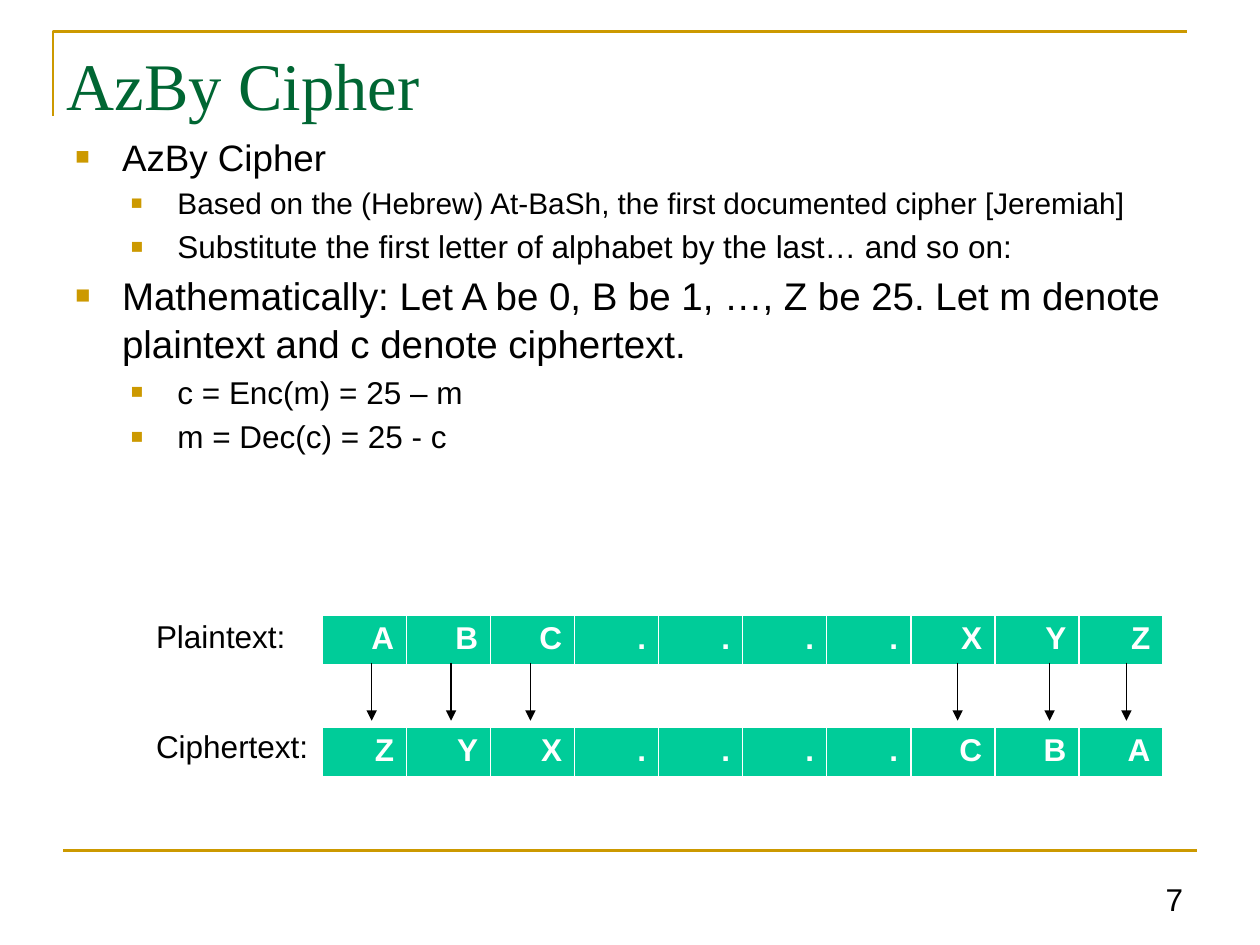
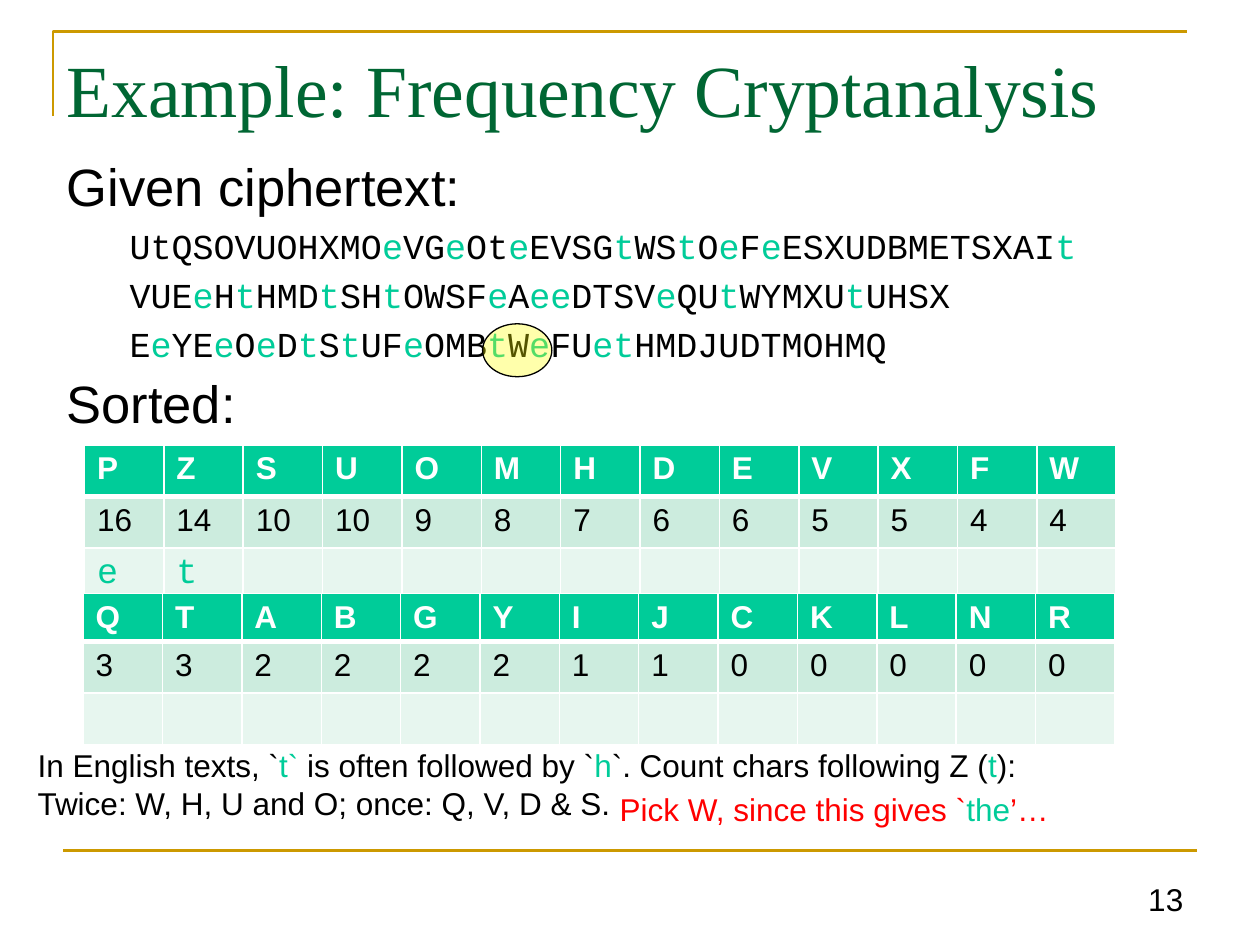
from dataclasses import dataclass, replace
from typing import NamedTuple, Optional, Sequence

from lxml import etree
from pptx import Presentation
from pptx.dml.color import RGBColor
from pptx.enum.shapes import MSO_CONNECTOR, MSO_SHAPE
from pptx.enum.text import MSO_ANCHOR, MSO_AUTO_SIZE, PP_ALIGN
from pptx.oxml.ns import qn
from pptx.util import Emu, Inches, Pt

STRAIGHT = MSO_CONNECTOR.STRAIGHT
OVAL = MSO_SHAPE.OVAL
TOP, BOTTOM = MSO_ANCHOR.TOP, MSO_ANCHOR.BOTTOM
LEFT, RIGHT = PP_ALIGN.LEFT, PP_ALIGN.RIGHT
FIXED = MSO_AUTO_SIZE.NONE

# The slide is a grid of 100 columns by 75 rows.
COLUMNS, ROWS = 100, 75
SLIDE_WIDTH, SLIDE_HEIGHT = Inches(10), Inches(7.5)
TITLE_ONLY = 5

BLACK, WHITE, RED, YELLOW = "000000", "FFFFFF", "FF0000", "FFFF00"
GOLD, FOREST, MINT = "CC9900", "006633", "00CC99"
PALE_MINT, FAINT_MINT = "CCECDE", "E7F6EF"
SANS, SERIF, MONO = "Arial", "Times New Roman", "Courier New"


class Area(NamedTuple):
    left: float
    top: float
    width: float
    height: float


@dataclass(frozen=True)
class Style:
    size: float = 18
    font: str = SANS
    color: str = BLACK
    bold: bool = False
    align: PP_ALIGN = LEFT
    indent: float = 0
    hanging: float = 0
    spacing: float = 1.0
    before: float = 0
    after: float = 0
    bullet: str = ""


class Line(NamedTuple):
    """Text whose parts between bars are accented, with its style."""
    text: str
    style: Style


class Band(NamedTuple):
    """One table row."""
    values: Sequence[str]
    fill: str
    style: Style
    height: float = 4.1


PLAIN = Style()
HEADER = Style(color=WHITE, bold=True)
CIPHER_HEADER = replace(HEADER, align=RIGHT)
GUESS = Style(20, MONO, MINT)
TOPIC = Style(22, indent=3.7, hanging=3.7, spacing=1.05, after=2.6, bullet="■")
POINT = replace(TOPIC, size=18, indent=8.1)
HEADING = Style(30, indent=3.8, hanging=3.8, spacing=0.9, before=7.5)
CIPHERTEXT = Style(20, MONO, indent=8.1, hanging=3.1, spacing=0.9, before=6.5)


def across(columns: float) -> Emu:
    return Emu(round(SLIDE_WIDTH * columns / COLUMNS))


def down(rows: float) -> Emu:
    return Emu(round(SLIDE_HEIGHT * rows / ROWS))


def place(area: Area) -> tuple:
    return across(area.left), down(area.top), across(area.width), down(area.height)


def rgb(code: str) -> RGBColor:
    return RGBColor.from_string(code)


def add_element(parent, tag: str, **attributes: str):
    element = etree.SubElement(parent, qn(tag))
    for name, value in attributes.items():
        element.set(name, value)
    return element


def set_outline(line, color: str, width: float) -> None:
    line.color.rgb = rgb(color)
    line.width = Pt(width)


def write_line(para, line: Line) -> None:
    style = line.style
    para.alignment = style.align
    para.line_spacing = style.spacing
    para.space_before, para.space_after = Pt(style.before), Pt(style.after)
    properties = para._p.get_or_add_pPr()
    properties.set("marL", str(across(style.indent)))
    properties.set("indent", str(-across(style.hanging)))
    if style.bullet:
        add_element(add_element(properties, "a:buClr"), "a:srgbClr", val=GOLD)
        add_element(properties, "a:buSzPct", val="65000")
        add_element(properties, "a:buFont", typeface=SANS)
        add_element(properties, "a:buChar", char=style.bullet)
    else:
        add_element(properties, "a:buNone")
    font = para.font
    font.name, font.size, font.bold = style.font, Pt(style.size), style.bold
    font.color.rgb = rgb(style.color)
    for index, text in enumerate(line.text.split("|")):
        if text:
            span = para.add_run()
            span.text = text
            if index % 2:
                span.font.color.rgb = rgb(MINT)


def write_lines(frame, lines: Sequence[Line], anchor: MSO_ANCHOR = TOP) -> None:
    frame.word_wrap = True
    frame.auto_size = FIXED
    frame.vertical_anchor = anchor
    for index, line in enumerate(lines):
        write_line(frame.add_paragraph() if index else frame.paragraphs[0], line)


def add_text(page, area: Area, *lines: Line, anchor: MSO_ANCHOR = TOP) -> None:
    write_lines(page.shapes.add_textbox(*place(area)).text_frame, lines, anchor)


def add_line(page, start: tuple, end: tuple, color: str, width: float,
             arrow: bool = False) -> None:
    connector = page.shapes.add_connector(
        STRAIGHT, across(start[0]), down(start[1]), across(end[0]), down(end[1]))
    set_outline(connector.line, color, width)
    if arrow:
        add_element(connector.line._get_or_add_ln(), "a:tailEnd", type="triangle")
    add_element(connector._element.spPr, "a:effectLst")


def add_page(deck, title: str, title_size: float, number: int):
    """Add a slide with the gold rules, the title and the page number."""
    page = deck.slides.add_slide(deck.slide_layouts[TITLE_ONLY])
    builder = page.shapes.build_freeform(across(4.2), down(9.2))
    builder.add_line_segments(
        [(across(4.2), down(2.5)), (across(94.2), down(2.5))], close=False)
    corner = builder.convert_to_shape()
    corner.fill.background()
    corner.shadow.inherit = False
    set_outline(corner.line, GOLD, 1.5)
    add_line(page, (5, 67.5), (95, 67.5), GOLD, 1.5)

    heading = page.shapes.title
    heading.left, heading.top, heading.width, heading.height = place(
        Area(4.3, 3, 90.7, 15))
    write_lines(heading.text_frame, [Line(title, Style(title_size, SERIF, FOREST))])
    add_text(page, Area(89.6, 68.4, 5.3, 4.9),
             Line(str(number), replace(PLAIN, align=RIGHT)), anchor=BOTTOM)
    return page


def set_borders(cell, top: float, bottom: float) -> None:
    properties = cell._tc.get_or_add_tcPr()
    for side, width in (("L", 1), ("R", 1), ("T", top), ("B", bottom)):
        border = add_element(properties, f"a:ln{side}", w=str(Pt(width)))
        add_element(add_element(border, "a:solidFill"), "a:srgbClr", val=WHITE)


def add_letter_table(page, area: Area, bands: Sequence[Band],
                     columns: Optional[int] = None) -> None:
    """Add a table whose first row is a header with a heavy lower edge."""
    count = columns or len(bands[0].values)
    table = page.shapes.add_table(len(bands), count, *place(area)).table
    table.horz_banding = False
    for column in table.columns:
        column.width = across(area.width / count)
    for row, band in enumerate(bands):
        table.rows[row].height = down(band.height)
        for column in range(count):
            cell = table.cell(row, column)
            set_borders(cell, 3 if row == 1 else 1, 3 if row == 0 else 1)
            cell.fill.solid()
            cell.fill.fore_color.rgb = rgb(band.fill)
            text = band.values[column] if column < len(band.values) else ""
            write_line(cell.text_frame.paragraphs[0], Line(text, band.style))


def build_azby_cipher(deck) -> None:
    page = add_page(deck, "AzBy Cipher", 38, 7)
    add_text(
        page, Area(5, 10, 89.9, 32.5),
        Line("AzBy Cipher", replace(TOPIC, size=21)),
        Line("Based on the (Hebrew) At-BaSh, the first documented cipher [Jeremiah]",
             replace(POINT, size=17)),
        Line("Substitute the first letter of alphabet by the last… and so on:", POINT),
        Line("Mathematically: Let A be 0, B be 1, …, Z be 25. "
             "Let m denote plaintext and c denote ciphertext.", TOPIC),
        Line("c = Enc(m) = 25 – m", POINT),
        Line("m = Dec(c) = 25 - c", POINT))
    plain_letters = "ABC....XYZ"
    for label, label_top, table_top, letters in (
            ("Plaintext:", 48.5, 48.8, plain_letters),
            ("Ciphertext:", 57.2, 57.7, plain_letters[::-1])):
        add_letter_table(page, Area(25.6, table_top, 66.7, 4.1),
                         [Band(letters, MINT, CIPHER_HEADER)])
        add_text(page, Area(11.4, label_top, 15, 4), Line(label, PLAIN))
    for arrow_left in (29.5, 35.8, 42.1, 76, 83.3, 89.4):
        add_line(page, (arrow_left, 52.6), (arrow_left, 57.2), BLACK, 0.75, arrow=True)


def build_frequency_example(deck) -> None:
    page = add_page(deck, "Example: Frequency Cryptanalysis", 42, 13)
    ciphertext = (
        "UtQSOVUOHXMO|e|VG|e|Ot|e|EVSG|t|WS|t|O|e|F|e|ESXUDBMETSXAI|t|",
        "VUE|e|H|t|HMD|t|SH|t|OWSF|e|A|ee|DTSV|e|QU|t|WYMXU|t|UHSX",
        "E|e|YE|e|O|e|D|t|S|t|UF|e|OMB|t|W|e|FU|et|HMDJUDTMOHMQ")
    add_text(page, Area(4.3, 12.3, 94.2, 23),
             Line("Given ciphertext:", HEADING),
             *(Line(text, CIPHERTEXT) for text in ciphertext),
             Line("Sorted:", HEADING))

    frequent = (16, 14, 10, 10, 9, 8, 7, 6, 6, 5, 5, 4, 4)
    rare = (3, 3, 2, 2, 2, 2, 1, 1, 0, 0, 0, 0, 0)
    for area, letters, counts, guesses, guess_style, header_height in (
            (Area(6.7, 35.3, 81.9, 12.4), "PZSUOMHDEVXFW", frequent, "et", GUESS, 4.1),
            (Area(6.6, 47.1, 81.9, 12.1), "QTABGYIJCKLNR", rare, "", PLAIN, 3.3)):
        add_letter_table(page, area, [
            Band(letters, MINT, HEADER, header_height),
            Band([str(count) for count in counts], PALE_MINT, PLAIN),
            Band(guesses, FAINT_MINT, guess_style)])

    add_text(page, Area(2, 58.7, 83.7, 7.1),
             Line("In English texts, `|t`| is often followed by `|h|`. "
                  "Count chars following Z (|t|):", PLAIN),
             Line("Twice: W, H, U and O; once: Q, V, D & S.", PLAIN))
    highlight = page.shapes.add_shape(OVAL, *place(Area(38.3, 25.7, 5.5, 4.2)))
    highlight.shadow.inherit = False
    highlight.fill.solid()
    highlight.fill.fore_color.rgb = rgb(YELLOW)
    tint = highlight._element.spPr.find(qn("a:solidFill")).find(qn("a:srgbClr"))
    add_element(tint, "a:alpha", val="33000")
    set_outline(highlight.line, BLACK, 0.75)
    add_text(page, Area(48.2, 62.2, 38, 7.1),
             Line("Pick W, since this gives `|the|’…", replace(PLAIN, color=RED)))


def main() -> None:
    deck = Presentation()
    deck.slide_width, deck.slide_height = SLIDE_WIDTH, SLIDE_HEIGHT
    build_azby_cipher(deck)
    build_frequency_example(deck)
    deck.save("out.pptx")


if __name__ == "__main__":
    main()
